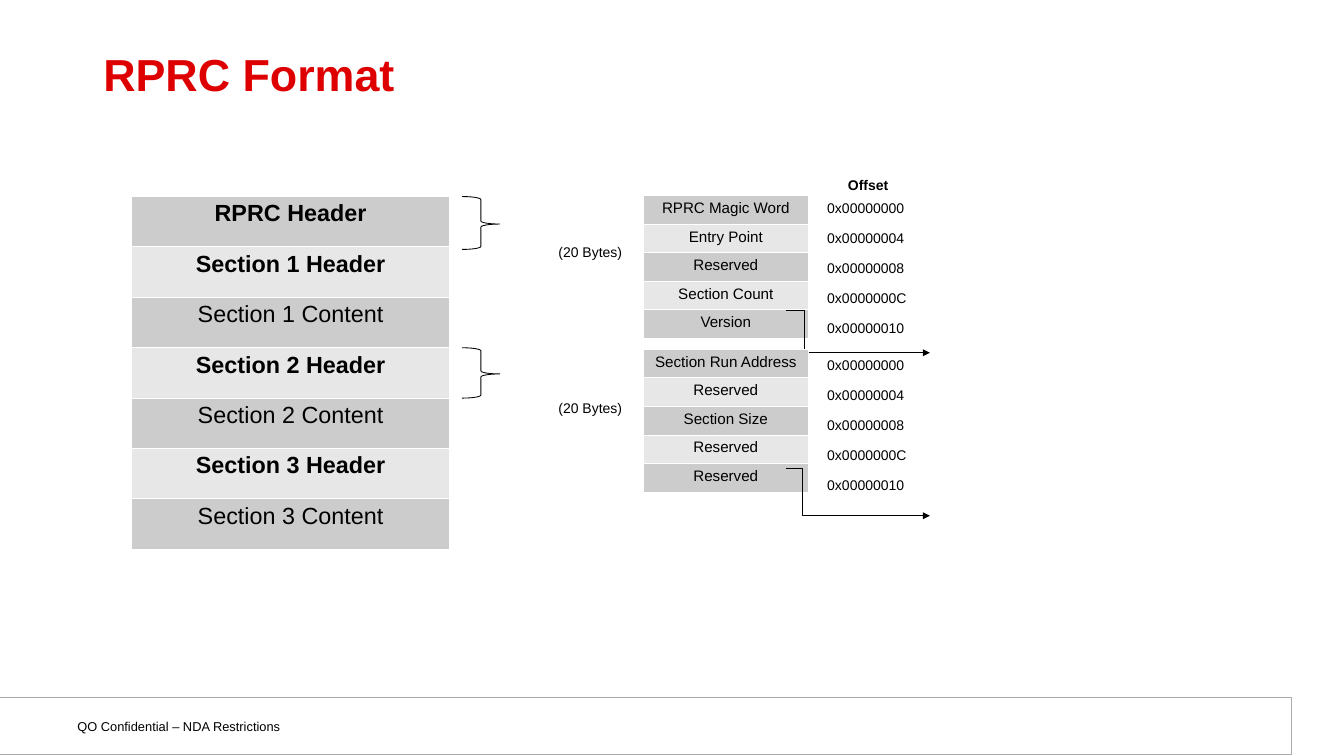
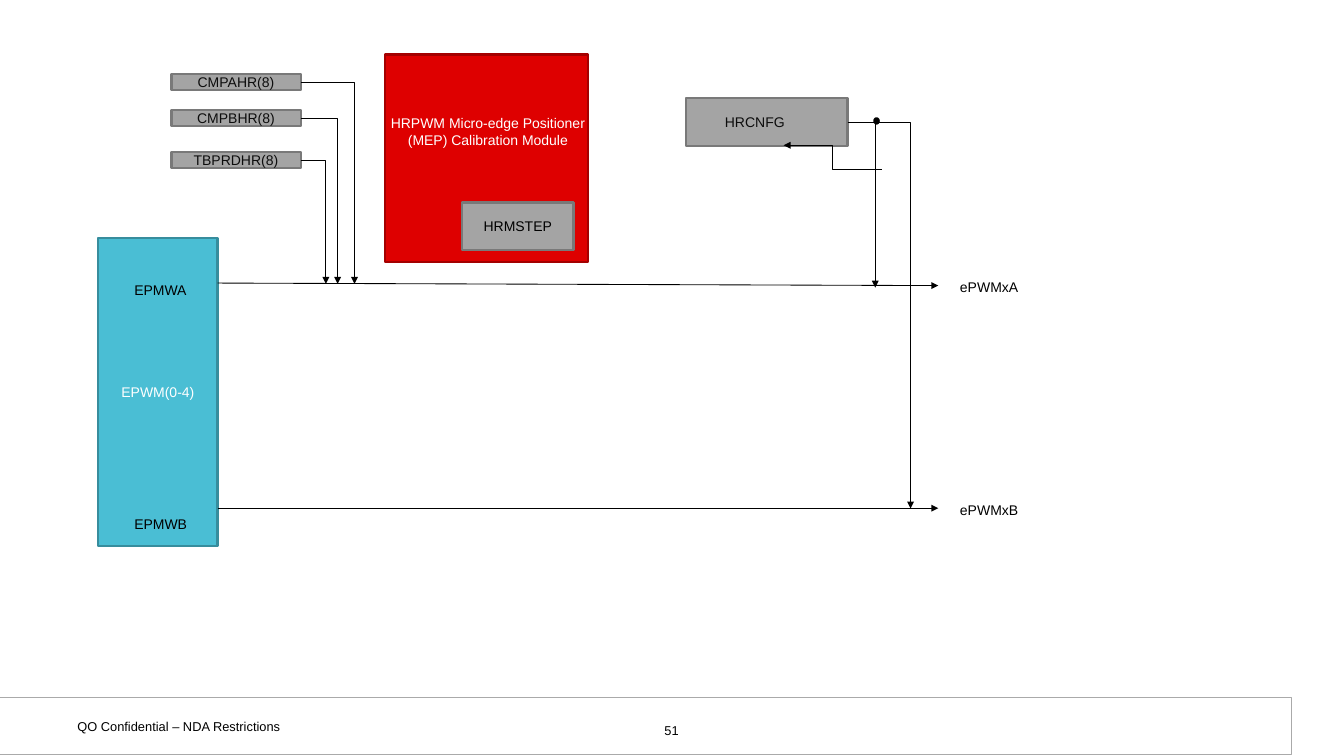
from lxml import etree
from pptx import Presentation
from pptx import util as u
from pptx.dml import color
from pptx.enum import shapes, text
from pptx.oxml import ns

COLUMNS, ROWS = 16, 9
FONT = "Arial"
BLACK, WHITE, RED, DARK_RED = "000000", "FFFFFF", "DE0000", "A40000"
GREY, GREY_EDGE, NEAR_BLACK = "A4A4A4", "797979", "0D0D0D"
CYAN, CYAN_EDGE, FOOTER_EDGE = "4ABED4", "378D9D", "AAAAAA"
BANDS = ("CCCCCC", "E7E7E7")
TIGHT, ROOMY = (0.1, 0.05), (0.13, 0.07)
LEFT, CENTER = text.PP_ALIGN.LEFT, text.PP_ALIGN.CENTER
TOP, MIDDLE = text.MSO_ANCHOR.TOP, text.MSO_ANCHOR.MIDDLE


def rgb(value):
    """Turn a hex string into a colour."""
    return color.RGBColor.from_string(value)


def grid(*cells):
    """Turn grid columns or rows into slide lengths."""
    return [u.Inches(cell) for cell in cells]


def within(box, left, top, width, height):
    """Shift a box given relative to the corner of an outer box."""
    return box[0] + left, box[1] + top, width, height


def add_tag(parent, tag, **attributes):
    """Append a drawing element to a parent."""
    return etree.SubElement(parent, ns.qn(tag), **attributes)


def write(frame, words, size, ink=BLACK, bold=False, align=LEFT, anchor=TOP,
          inset=TIGHT, indent=0):
    """Fill a text frame with one formatted paragraph."""
    frame.word_wrap = True
    frame.vertical_anchor = anchor
    side, end = grid(*inset)
    frame.margin_left, frame.margin_right = side + u.Inches(indent), side
    frame.margin_top = frame.margin_bottom = end
    para = frame.paragraphs[0]
    para.text = words
    para.alignment = align
    style_font(para.font, size, ink, bold)
    for span in para.runs:
        style_font(span.font, size, ink, bold)
    return para


def style_font(font, size, ink, bold):
    """Set the typeface, size, colour and weight."""
    font.name, font.size, font.bold = FONT, u.Pt(size), bold
    font.color.rgb = rgb(ink)


def label(page, box, words, size=12, **style):
    """Place a plain text box."""
    frame = page.shapes.add_textbox(*grid(*box)).text_frame
    return write(frame, words, size, **style)


def block(page, box, fill, edge, words="", weight=2, kind="RECTANGLE", **style):
    """Place an outlined preset shape, with a caption if there is one."""
    preset = getattr(shapes.MSO_SHAPE, kind)
    shape = page.shapes.add_shape(preset, *grid(*box))
    shape.shadow.inherit = False
    if fill:
        shape.fill.solid()
        shape.fill.fore_color.rgb = rgb(fill)
    else:
        shape.fill.background()
    shape.line.color.rgb = rgb(edge)
    shape.line.width = u.Pt(weight)
    if words:
        write(shape.text_frame, words, 12, anchor=MIDDLE, **style)
    return shape


def wire(page, start, finish, bend=None, corner=False):
    """Draw an arrow: straight, with one corner, or with a step at a share of its width."""
    straight = bend is None and not corner
    kind = shapes.MSO_CONNECTOR.STRAIGHT if straight else shapes.MSO_CONNECTOR.ELBOW
    line = page.shapes.add_connector(kind, *grid(*start, *finish))
    line.line.color.rgb = rgb(BLACK)
    line.line.width = u.Pt(0.75)
    properties = line._element.spPr
    geometry = properties.find(ns.qn("a:prstGeom"))
    if corner:
        geometry.set("prst", "bentConnector2")
    elif bend is not None:
        guides = geometry.find(ns.qn("a:avLst"))
        if guides is None:
            guides = add_tag(geometry, "a:avLst")
        add_tag(guides, "a:gd", name="adj1", fmla=f"val {round(bend * 100000)}")
    add_tag(properties.find(ns.qn("a:ln")), "a:tailEnd", type="triangle")
    add_tag(properties, "a:effectLst")


def banded_table(page, box, names, size, bold_rows=()):
    """Place a one-column table with alternating grey rows."""
    table = page.shapes.add_table(len(names), 1, *grid(*box)).table
    table.first_row = table.horz_banding = False
    for index, name in enumerate(names):
        cell = table.cell(index, 0)
        properties = cell._tc.get_or_add_tcPr()
        for side in "LRTB":
            border = add_tag(properties, f"a:ln{side}", w=str(u.Pt(0.96)))
            add_tag(add_tag(border, "a:solidFill"), "a:srgbClr", val=WHITE)
        cell.fill.solid()
        cell.fill.fore_color.rgb = rgb(BANDS[index % 2])
        write(cell.text_frame, name, size, bold=index in bold_rows, align=CENTER)
        cell.margin_left = cell.margin_right = u.Inches(0.12)
        cell.margin_top = cell.margin_bottom = u.Inches(0.05)


def footer(page, box, number=""):
    """Place the footer band with its notice and page number."""
    block(page, box, WHITE, FOOTER_EDGE, weight=0.75)
    label(page, within(box, 0.82, 0.18, 3.69, 0.32),
          "QO Confidential – NDA Restrictions", 11, inset=ROOMY)
    if number:
        label(page, within(box, 6.16, 0.23, 3.73, 0.27), number, 11,
              align=CENTER, inset=ROOMY)


def new_page(deck, number=""):
    """Add a blank page with the shared footer."""
    page = deck.slides.add_slide(deck.slide_layouts[6])
    footer(page, (-0.03, 8.3, 15.4, 0.68), number)
    return page


def title(page, box, words):
    """Place the slide title."""
    para = label(page, box, words, 38.4, ink=RED, bold=True,
                 anchor=MIDDLE, inset=ROOMY)
    para.line_spacing = 0.85


def file_layout(page, box):
    """Show the sections of the file and brace two of its headers."""
    sections = [f"Section {number} {part}" for number in (1, 2, 3)
                for part in ("Header", "Content")]
    banded_table(page, box, ["RPRC Header"] + sections, 20, (0, 1, 3, 5))
    for top, height in ((0, 0.63), (1.8, 0.6)):
        brace = block(page, within(box, 3.93, top, 0.45, height), None, BLACK,
                      weight=0.75, kind="RIGHT_BRACE")
        brace.adjustments[0], brace.adjustments[1] = 0.08, 0.52


def header_fields(page, box, names, size_top, offset_top, exit_top, drop, bend):
    """Show the fields of one header with byte count, offsets and exit arrow."""
    left, top, width, height = box
    banded_table(page, box, names, 13)
    label(page, within(box, -1.11, size_top, 1.83, 0.3), "(20 Bytes)")
    pitch = 1.42 / (len(names) - 1)
    for index in range(len(names)):
        spot = within(box, 2.09, offset_top + index * pitch, 1.83, 0.3)
        label(page, spot, f"0x{index * 4:08X}")
    start = left + width - 0.26, top + exit_top
    wire(page, start, (start[0] + 1.71, start[1] + drop), bend=bend)


def format_page(deck):
    """Build the slide on the file format."""
    page = new_page(deck)
    title(page, (1.1, 0.48, 13.8, 0.89), "RPRC Format")
    file_layout(page, (1.57, 2.34, 3.78, 4.2))
    header_fields(page, (7.66, 2.33, 1.96, 1.7),
                  ("RPRC Magic Word", "Entry Point", "Reserved", "Section Count", "Version"),
                  0.52, 0, 1.36, 0.51, 0.13)
    header_fields(page, (7.66, 4.16, 1.96, 1.7),
                  ("Section Run Address", "Reserved", "Section Size", "Reserved", "Reserved"),
                  0.55, 0.04, 1.42, 0.56, 0.11)
    label(page, (9.42, 2.05, 1.83, 0.3), "Offset", bold=True, align=CENTER)


def pwm_module(page, box):
    """Place the PWM source with its two outputs."""
    block(page, box, CYAN, CYAN_EDGE, "EPWM(0-4)", ink=WHITE, align=CENTER)
    left, top, width, height = box
    outputs = (("A", 0.47, 0.54, 0.57, 0.44), ("B", 3.26, 3.22, 3.22, 3.09))
    for letter, name_top, line_top, line_end, output_top in outputs:
        label(page, within(box, 0.33, name_top, 1.08, 0.3), f"EPMW{letter}")
        wire(page, (left + width, top + line_top), (left + 10, top + line_end))
        label(page, within(box, 10.16, output_top, 1.25, 0.3), f"ePWMx{letter}")


def calibration_module(page, box):
    """Place the calibration module with its step register."""
    block(page, box, RED, DARK_RED)
    label(page, within(box, -0.06, 0.67, 2.58, 0.7),
          "HRPWM Micro-edge Positioner (MEP) Calibration Module",
          ink=WHITE, align=CENTER)
    block(page, within(box, 0.92, 1.76, 1.33, 0.57), GREY, GREY_EDGE,
          "HRMSTEP", align=CENTER)


def configuration(page, box):
    """Place the configuration register and its control lines."""
    left, top, width, height = box
    block(page, box, GREY, GREY_EDGE, "HRCNFG", ink=NEAR_BLACK, indent=0.36)
    wire(page, (left + 2.33, top + 0.85), (left + 1.16, top + 0.56), bend=0.5)
    start = left + width, top + height / 2
    for run, drop in ((0.33, 1.97), (0.75, 4.6)):
        wire(page, start, (start[0] + run, start[1] + drop), corner=True)
    block(page, within(box, 2.24, 0.24, 0.05, 0.06), BLACK, BLACK, kind="OVAL")


def registers(page, box):
    """Place the three registers, each wired down to the same line."""
    left, top, width, height = box
    for name, down, run in (("CMPAHR(8)", 0, 0.64), ("CMPBHR(8)", 0.43, 0.44),
                            ("TBPRDHR(8)", 0.93, 0.3)):
        block(page, within(box, 0, down, width, 0.19), GREY, GREY_EDGE, name,
              ink=NEAR_BLACK, align=CENTER)
        start = left + width, top + down + 0.1
        wire(page, start, (start[0] + run, top + height), corner=True)


def pwm_page(deck):
    """Build the slide on the PWM signal path."""
    page = new_page(deck, "51")
    pwm_module(page, (1.17, 2.83, 1.42, 3.67))
    calibration_module(page, (4.58, 0.65, 2.42, 2.47))
    configuration(page, (8.17, 1.17, 1.92, 0.57))
    registers(page, (2.04, 0.88, 1.54, 2.5))


def main():
    """Build and save the deck."""
    deck = Presentation()
    deck.slide_width, deck.slide_height = grid(COLUMNS, ROWS)
    format_page(deck)
    pwm_page(deck)
    deck.save("out.pptx")


if __name__ == "__main__":
    main()
